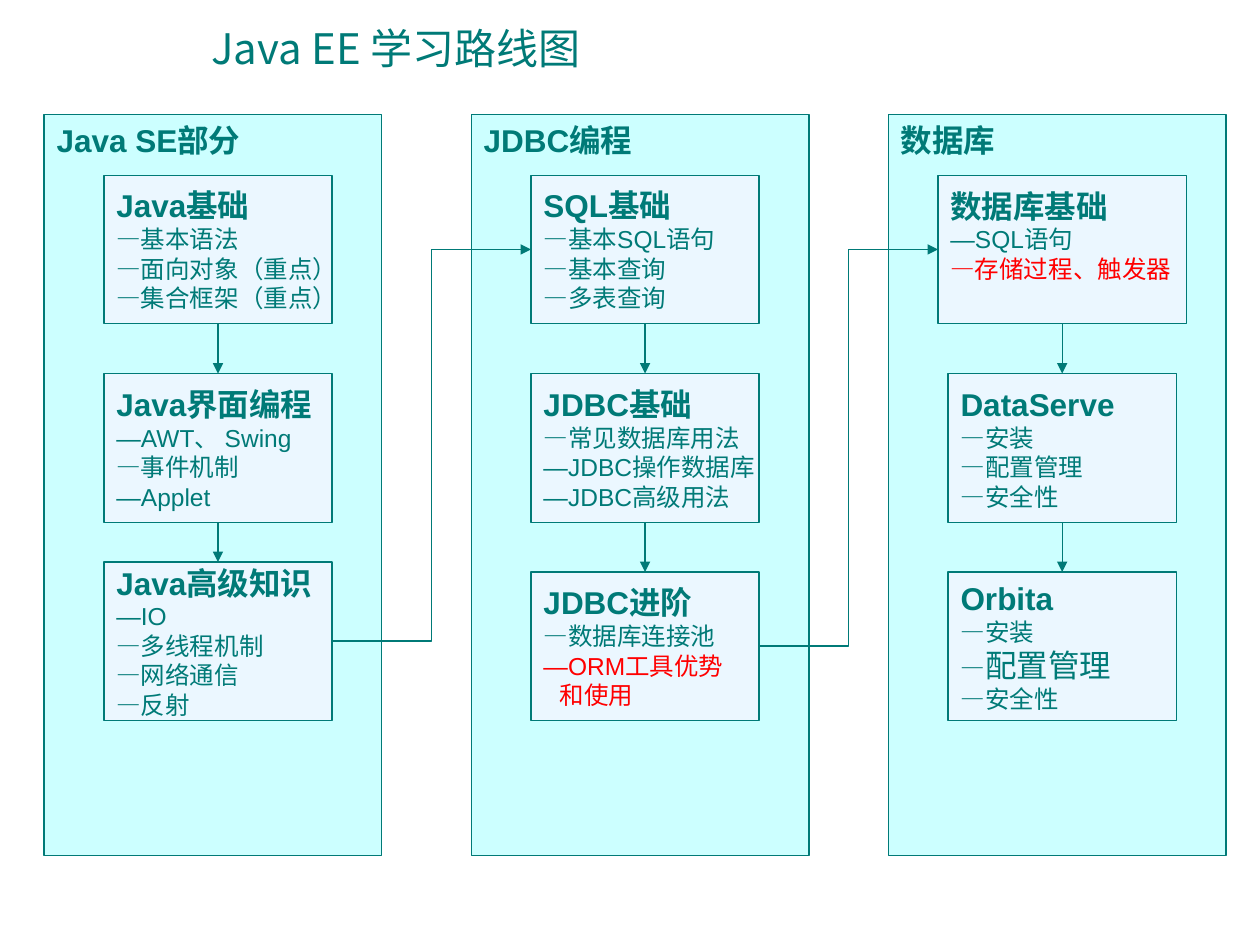
from pptx import Presentation
from pptx.dml.color import RGBColor
from pptx.enum.shapes import MSO_CONNECTOR, MSO_SHAPE
from pptx.enum.text import MSO_ANCHOR, PP_ALIGN
from pptx.oxml.ns import qn
from pptx.util import Inches, Pt
from lxml import etree

RECT, STEP = MSO_SHAPE.RECTANGLE, MSO_SHAPE.FLOWCHART_PROCESS
LINE, ELBOW = MSO_CONNECTOR.STRAIGHT, MSO_CONNECTOR.ELBOW
TOP, MID, LEFT = MSO_ANCHOR.TOP, MSO_ANCHOR.MIDDLE, PP_ALIGN.LEFT

TITLE = "Java EE 学习路线图"
TRACKS = [
    ("Java SE部分", 0.35, [
        {"head": "Java基础", "list": ["基本语法", "面向对象（重点）", "集合框架（重点）"]},
        {"head": "Java界面编程", "list": ["AWT、 Swing", "事件机制", "Applet"]},
        {"head": "Java高级知识", "high": 1.26,
         "list": ["IO", "多线程机制", "网络通信", "反射"]},
    ]),
    ("JDBC编程", 3.74, [
        {"head": "SQL基础", "list": ["基本SQL语句", "基本查询", "多表查询"]},
        {"head": "JDBC基础",
         "list": ["常见数据库用法", "JDBC操作数据库", "JDBC高级用法"]},
        {"head": "JDBC进阶",
         "list": ["数据库连接池", ("ORM工具优势", "alert"), ("和使用", "more")]},
    ]),
    ("数据库", 7.05, [
        {"head": "数据库基础", "wide": 1.97, "foot": 0.28,
         "list": ["SQL语句", ("存储过程、触发器", "alert")]},
        {"head": "DataServe", "list": ["安装", "配置管理", "安全性"]},
        {"head": "Orbita", "list": ["安装", ("配置管理", "large"), "安全性"]},
    ]),
]
LINKS = [((0, 2), (1, 0)), ((1, 2), (2, 0))]

THEME = {
    "ink": RGBColor.from_string("007A77"),
    "alert": RGBColor.from_string("FF0000"),
    "panel": RGBColor.from_string("CCFFFF"),
    "box": RGBColor.from_string("EBF7FF"),
    "font": "Arial", "han": "Noto Sans CJK SC",
    "title": Pt(24), "head": Pt(18), "body": Pt(14),
    "thin": Pt(0.75), "bold": Pt(1),
}
WIDE, HIGH, AXIS = 1.81, 1.18, 1.38
FIRST, LAST = 2.57, 5.72
PITCH = (LAST - FIRST) / 2
HEAD = {"size": THEME["head"], "bold": True}
BODY = {"size": THEME["body"], "bold": False}
STYLES = {
    "plain": BODY,
    "alert": {**BODY, "color": THEME["alert"]},
    "more": {**BODY, "color": THEME["alert"]},
    "large": {**BODY, "size": THEME["head"]},
}


def write(para, text, form, face=THEME["font"]):
    run = para.add_run()
    run.text = text
    form = {"name": face, "color": THEME["ink"], **form}
    run.font.color.rgb = form.pop("color")
    for key, val in form.items():
        setattr(run.font, key, val)
    han = etree.SubElement(run.font._element, qn("a:ea"))
    han.set("typeface", THEME["han"])


def block(slide, kind, area, fill, form):
    shape = slide.shapes.add_shape(kind, *map(Inches, area))
    shape.shadow.inherit = False
    shape.fill.solid()
    shape.fill.fore_color.rgb = fill
    shape.line.color.rgb = THEME["ink"]
    shape.line.width = THEME["thin"]
    for key, val in form.items():
        setattr(shape.text_frame, key, val)
    shape.text_frame.paragraphs[0].alignment = LEFT
    return shape


def add_box(slide, axis, row, item):
    wide, high = item.get("wide", WIDE), item.get("high", HIGH)
    area = (axis - wide / 2, FIRST + row * PITCH - high, wide, high)
    form = {"word_wrap": False, "vertical_anchor": MID,
            "margin_bottom": Inches(item.get("foot", 0.05))}
    box = block(slide, STEP, area, THEME["box"], form)
    frame = box.text_frame
    write(frame.paragraphs[0], item["head"], HEAD)
    for entry in item["list"]:
        text, style = (entry, "plain") if isinstance(entry, str) else entry
        para = frame.add_paragraph()
        para.alignment = LEFT
        if style == "more":
            para._p.get_or_add_pPr().set("marL", str(Inches(0.13)))
        elif style == "large":
            write(para, "—", BODY)
        else:
            text = "—" + text
        write(para, text, STYLES[style])
    return box


def join(slide, kind, start, out, end, into, width):
    link = slide.shapes.add_connector(kind, 0, 0, 0, 0)
    link.begin_connect(start, out)
    link.end_connect(end, into)
    link.line.color.rgb = THEME["ink"]
    link.line.width = width
    tail = etree.SubElement(link.line._get_or_add_ln(), qn("a:tailEnd"))
    tail.set("type", "triangle")
    etree.SubElement(link._element.spPr, qn("a:effectLst"))


def main():
    deck = Presentation()
    deck.slide_width, deck.slide_height = Inches(10), Inches(7.5)
    slide = deck.slides.add_slide(deck.slide_layouts[6])
    title = slide.shapes.add_textbox(*map(Inches, (1.58, 0.13, 3.55, 0.5)))
    title.text_frame.word_wrap = False
    write(title.text_frame.paragraphs[0], TITLE,
          {"size": THEME["title"]}, THEME["han"])

    grid = []
    for name, left, items in TRACKS:
        panel = block(slide, RECT, (left, 0.91, 2.68, 5.88), THEME["panel"],
                      {"word_wrap": True, "vertical_anchor": TOP})
        para = panel.text_frame.paragraphs[0]
        para.space_before = Pt(11.2)
        write(para, name, HEAD)
        boxes = [add_box(slide, left + AXIS, row, item)
                 for row, item in enumerate(items)]
        for upper, lower in zip(boxes, boxes[1:]):
            join(slide, LINE, upper, 2, lower, 0, THEME["thin"])
        grid.append(boxes)
    for (col, row), (to_col, to_row) in LINKS:
        join(slide, ELBOW, grid[col][row], 3, grid[to_col][to_row], 1,
             THEME["bold"])
    deck.save("out.pptx")


if __name__ == "__main__":
    main()
